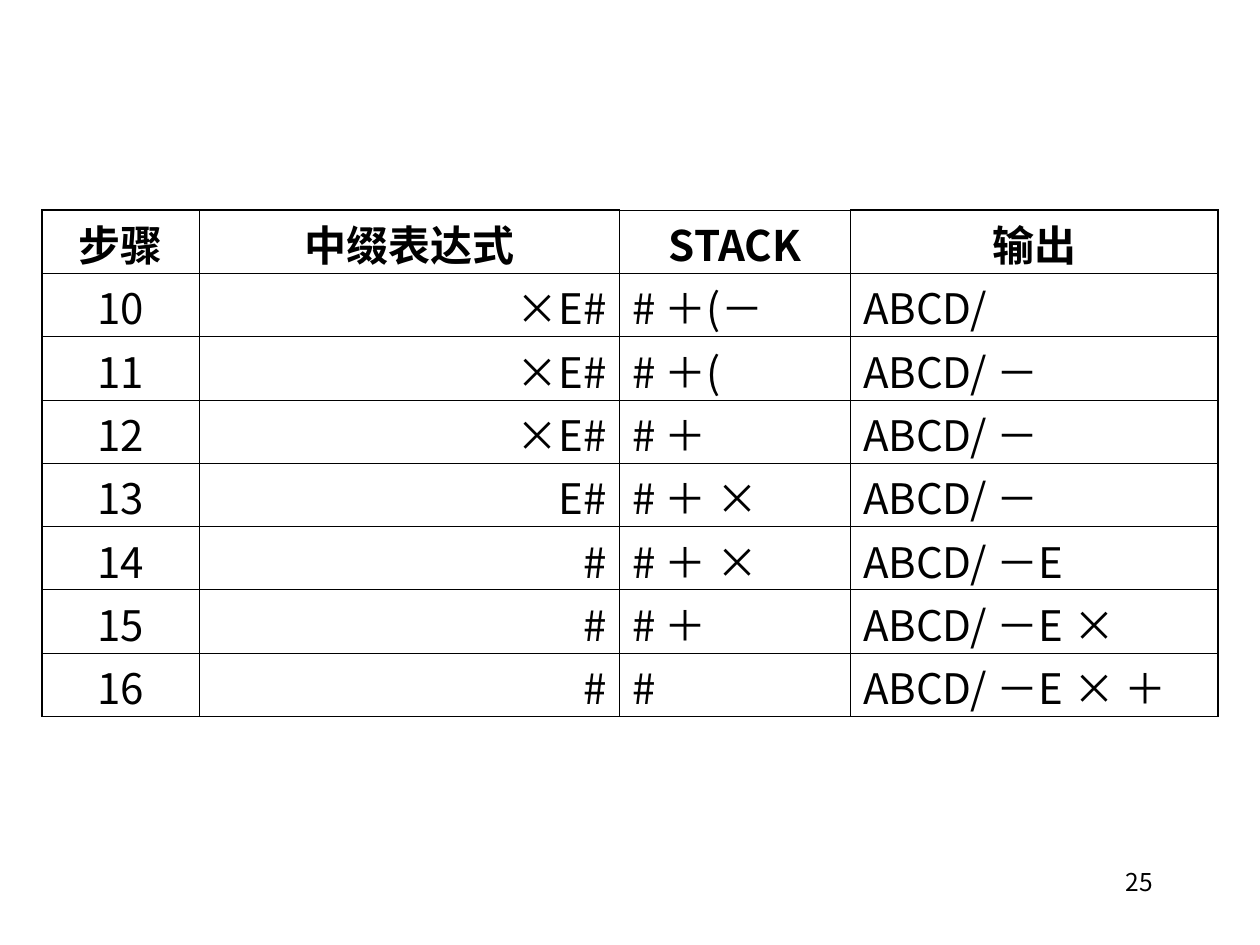
from pptx import Presentation
from pptx.dml.color import RGBColor
from pptx.enum.text import PP_ALIGN
from pptx.oxml import parse_xml
from pptx.oxml.ns import nsdecls
from pptx.util import Inches, Pt

LEFT, CENTER, RIGHT = PP_ALIGN.LEFT, PP_ALIGN.CENTER, PP_ALIGN.RIGHT
FONT = "Noto Sans CJK JP"
BLACK = "000000"
THIN, THICK = 0.45, 1.08
COLUMNS = [15, 40, 22, 35]
ALIGNS = [CENTER, RIGHT, LEFT, LEFT]
STEPS = [
    ["步骤", "中缀表达式", "STACK", "输出"],
    ["10", "×E#", "# ＋(－", "ABCD/"],
    ["11", "×E#", "# ＋(", "ABCD/ －"],
    ["12", "×E#", "# ＋", "ABCD/ －"],
    ["13", "E#", "# ＋ ×", "ABCD/ －"],
    ["14", "#", "# ＋ ×", "ABCD/ －E"],
    ["15", "#", "# ＋", "ABCD/ －E ×"],
    ["16", "#", "#", "ABCD/ －E × ＋"],
]


def color(value):
    """Turn a hex string into a colour."""
    return RGBColor.from_string(value)


def write(tf, text, paragraph, font):
    """Write one formatted paragraph into a text frame."""
    p = tf.paragraphs[0]
    r = p.add_run()
    r.text = text
    r.font.color.rgb = color(BLACK)
    for target, formats in ((p, paragraph), (r.font, {"name": FONT, **font})):
        for name, value in formats.items():
            setattr(target, name, value)
    ea = parse_xml(f'<a:ea {nsdecls("a")} typeface="{FONT}"/>')
    r.font._element.append(ea)


def set_borders(cell, widths):
    """Draw the left, right, top and bottom borders of a cell."""
    tcPr = cell._tc.get_or_add_tcPr()
    for i, (side, width) in enumerate(widths.items()):
        tcPr.insert(i, parse_xml(
            f'<a:ln{side} {nsdecls("a")} w="{Pt(width)}"><a:solidFill>'
            f'<a:srgbClr val="{BLACK}"/></a:solidFill></a:ln{side}>'))


def add_steps(s, left, top, width, height):
    """Add the table of conversion steps inside the given box."""
    rows, cols = len(STEPS), len(COLUMNS)
    table = s.shapes.add_table(rows, cols, left, top, width, height).table
    for column, share in zip(table.columns, COLUMNS):
        column.width = int(width * share / sum(COLUMNS))
    for i, texts in enumerate(STEPS):
        table.rows[i].height = height // rows
        for j, text in enumerate(texts):
            cell = table.cell(i, j)
            cell.fill.background()
            cell.margin_top, cell.margin_bottom = Inches(0.05), 0
            write(cell.text_frame, text,
                  {"alignment": ALIGNS[j] if i else CENTER,
                   "space_before": Pt(6), "line_spacing": 0.93},
                  {"size": Pt(24), "bold": i == 0})
            set_borders(cell, {
                "L": THICK if j == 0 else THIN,
                "R": THICK if j == cols - 1 else THIN,
                "T": THICK if i == 0 and j != 2 else THIN,
                "B": THICK if i == rows - 1 else THIN,
            })


def add_page_number(s, left, top, width, height):
    """Add the page number at the right of the given box."""
    tf = s.shapes.add_textbox(left, top, width, height).text_frame
    tf.word_wrap = True
    write(tf, "25", {"alignment": RIGHT, "space_before": Pt(8.8)},
          {"size": Pt(14)})


def main():
    """Build and save the slide."""
    prs = Presentation()
    prs.slide_width, prs.slide_height = w, h = Inches(10), Inches(7.5)
    s = prs.slides.add_slide(prs.slide_layouts[6])
    add_steps(s, w // 30, h * 2 // 9, w * 28 // 30, Inches(4.02))
    add_page_number(s, Inches(7.17), Inches(6.83), Inches(2.08), Inches(0.5))
    prs.save("out.pptx")


if __name__ == "__main__":
    main()
